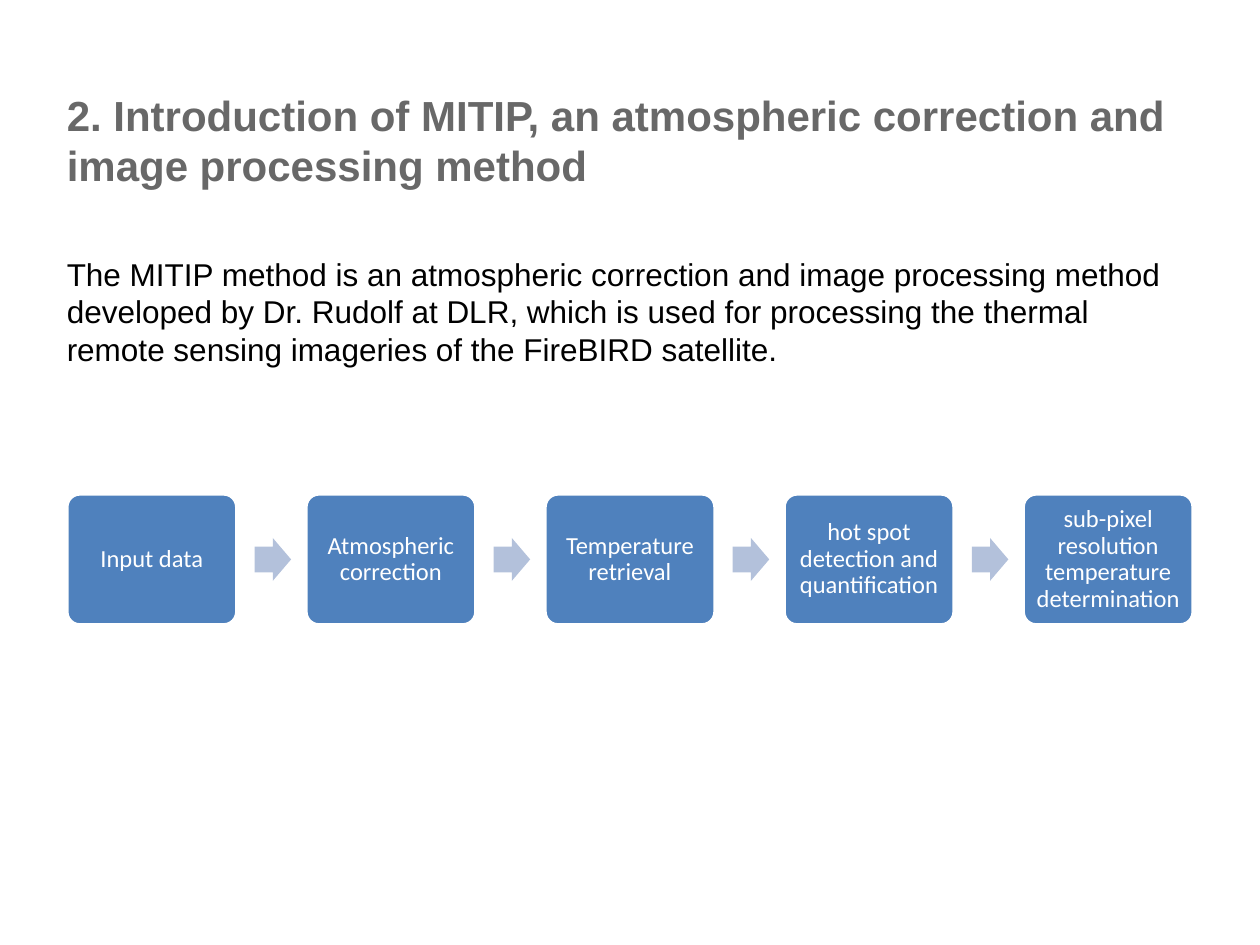
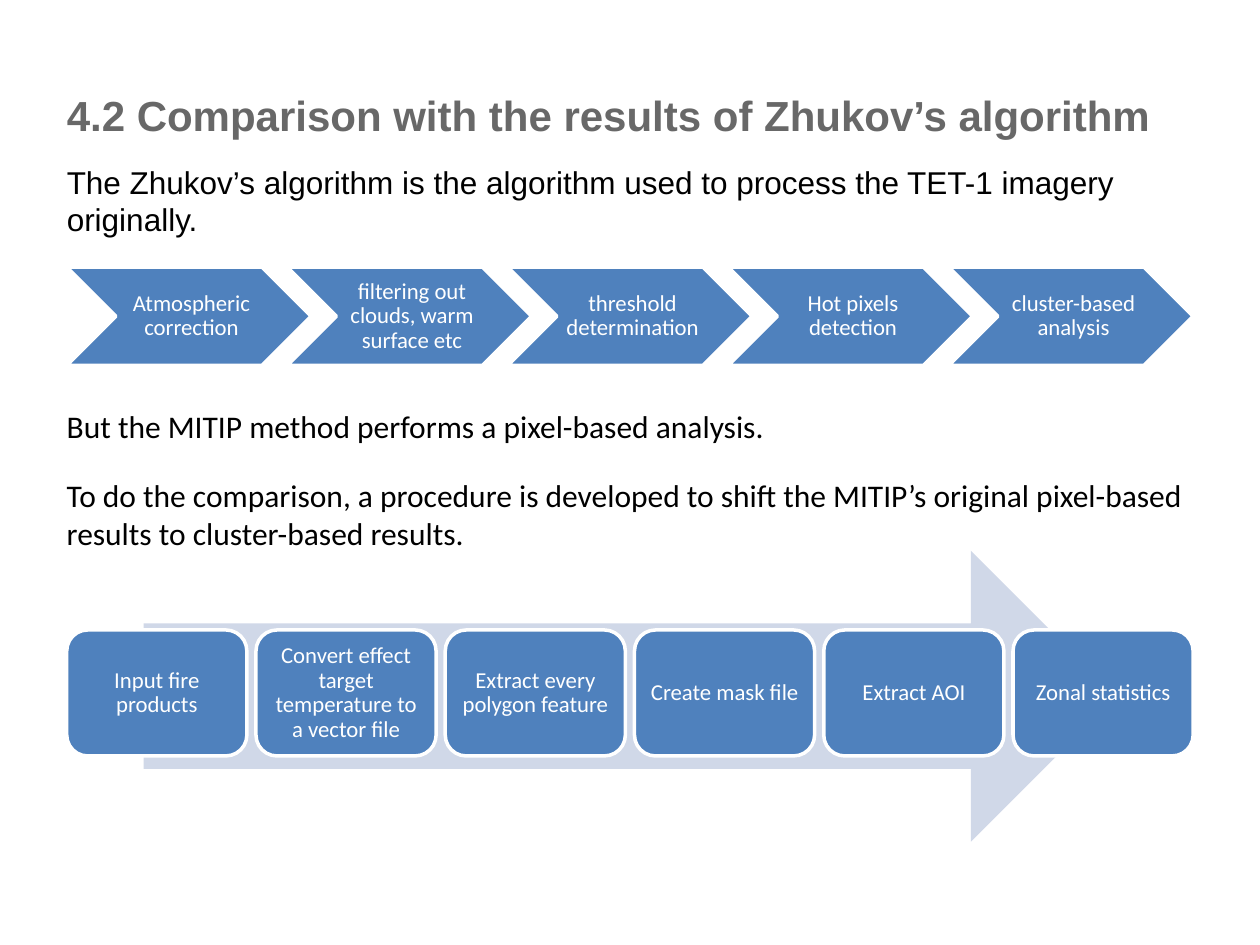
from pptx import Presentation
from pptx.dml.color import RGBColor
from pptx.enum.shapes import MSO_SHAPE
from pptx.enum.text import MSO_ANCHOR, MSO_AUTO_SIZE, PP_ALIGN
from pptx.oxml.ns import qn
from pptx.util import Inches, Pt

ROUND, CHEVRON, ARROW = (
    MSO_SHAPE.ROUNDED_RECTANGLE, MSO_SHAPE.CHEVRON, MSO_SHAPE.RIGHT_ARROW)
TOP, MIDDLE = MSO_ANCHOR.TOP, MSO_ANCHOR.MIDDLE
LEFT, CENTER = PP_ALIGN.LEFT, PP_ALIGN.CENTER
FIXED = MSO_AUTO_SIZE.NONE

BLUE, PALE, BAND = "4F81BD", "B3C1DB", "D0D8E8"
WHITE, BLACK, GRAY = "FFFFFF", "000000", "686868"
EDGE, SPAN = 0.53, 8.94

INTRO = {
    "title": "2. Introduction of MITIP, an atmospheric correction and image processing method",
    "body": "The MITIP method is an atmospheric correction and image processing method "
            "developed by Dr. Rudolf at DLR, which is used for processing the thermal "
            "remote sensing imageries of the FireBIRD satellite.",
    "steps": ["Input data", "Atmospheric correction", "Temperature retrieval",
              "hot spot detection and quantification",
              "sub-pixel resolution temperature determination"],
}
COMPARE = {
    "title": "4.2 Comparison with the results of Zhukov’s algorithm",
    "body": "The Zhukov’s algorithm is the algorithm used to process the TET-1 imagery originally.",
    "chain": ["Atmospheric correction", "filtering out clouds, warm surface etc",
              "threshold determination", "Hot pixels detection", "cluster-based analysis"],
    "notes": [
        (3.23, 0.3, "But the MITIP method performs a pixel-based analysis."),
        (3.78, 0.61, "To do the comparison, a procedure is developed to shift the MITIP’s "
                     "original pixel-based results to cluster-based results."),
    ],
    "steps": ["Input fire products", "Convert effect target temperature to a vector file",
              "Extract every polygon feature", "Create mask file", "Extract AOI",
              "Zonal statistics"],
}


def color(code):
    return RGBColor.from_string(code)


def write(shape, text, size, face, ink, align=LEFT, anchor=TOP, pads=(0, 0, 0, 0), bold=False):
    frame = shape.text_frame
    frame.word_wrap = True
    frame.auto_size = FIXED
    frame.vertical_anchor = anchor
    frame.margin_left, frame.margin_top, frame.margin_right, frame.margin_bottom = map(Inches, pads)
    para = frame.paragraphs[0]
    para.text = text
    para.alignment = align
    para.space_before = Pt(0)
    font = para.font
    font.size, font.name, font.bold = Pt(size), face, bold
    font.color.rgb = color(ink)
    return para


def place(shape, top, high):
    shape.left, shape.top = Inches(EDGE), Inches(top)
    shape.width, shape.height = Inches(SPAN), Inches(high)


def plain(shape):
    props = shape.text_frame.paragraphs[0]._p.get_or_add_pPr()
    props.set("marL", "0")
    props.set("indent", "0")
    props.append(props.makeelement(qn("a:buNone"), {}))


def start(deck, data, head, body):
    slide = deck.slides.add_slide(deck.slide_layouts[1])
    title, text = slide.placeholders
    place(title, 0.71, head)
    write(title, data["title"], 24, "Arial", GRAY, bold=True)
    place(text, *body)
    plain(text)
    write(text, data["body"], 18, "Arial", BLACK)
    return slide


def draw(slide, kind, box, fill, edge=None, adjust=()):
    shape = slide.shapes.add_shape(kind, *map(Inches, box))
    shape.shadow.inherit = False
    shape.fill.solid()
    shape.fill.fore_color.rgb = color(fill)
    if edge:
        shape.line.color.rgb = color(edge)
        shape.line.width = Pt(2)
    else:
        shape.line.fill.background()
    for spot, value in enumerate(adjust):
        shape.adjustments[spot] = value
    return shape


def row(slide, kind, texts, top, wide, high, size, pads, adjust=()):
    step = (SPAN - wide) / (len(texts) - 1)
    lefts = [EDGE + step * i for i in range(len(texts))]
    for left, text in zip(lefts, texts):
        shape = draw(slide, kind, (left, top, wide, high), BLUE, WHITE, adjust)
        para = write(shape, text, size, "Calibri", WHITE, CENTER, MIDDLE, pads)
        para.line_spacing = 0.9
    return lefts


def intro(deck):
    slide = start(deck, INTRO, 0.81, (2.02, 1.34))
    top, wide, high = 3.92, 1.35, 1.04
    lefts = row(slide, ROUND, INTRO["steps"], top, wide, high, 14, [0.06] * 4, [0.1])
    tall = 0.34
    for left in lefts[:-1]:
        box = (left + wide + 0.14, top + (high - tall) / 2, 0.29, tall)
        draw(slide, ARROW, box, PALE, adjust=(0.6, 0.5))


def compare(deck):
    slide = start(deck, COMPARE, 0.44, (1.29, 0.79))
    row(slide, CHEVRON, COMPARE["chain"], 2.12, 1.94, 0.78, 13, (0.06, 0.02, 0.02, 0.02))
    draw(slide, ARROW, (1.14, 4.37, 7.72, 2.31), BAND)
    row(slide, ROUND, COMPARE["steps"], 5, 1.43, 1, 13, [0.05] * 4)
    for top, high, text in COMPARE["notes"]:
        box = slide.shapes.add_textbox(0, 0, 0, 0)
        place(box, top, high)
        write(box, text, 18, "Calibri", BLACK)


def main():
    deck = Presentation()
    deck.slide_width, deck.slide_height = Inches(10), Inches(7.5)
    intro(deck)
    compare(deck)
    deck.save("out.pptx")


if __name__ == "__main__":
    main()
